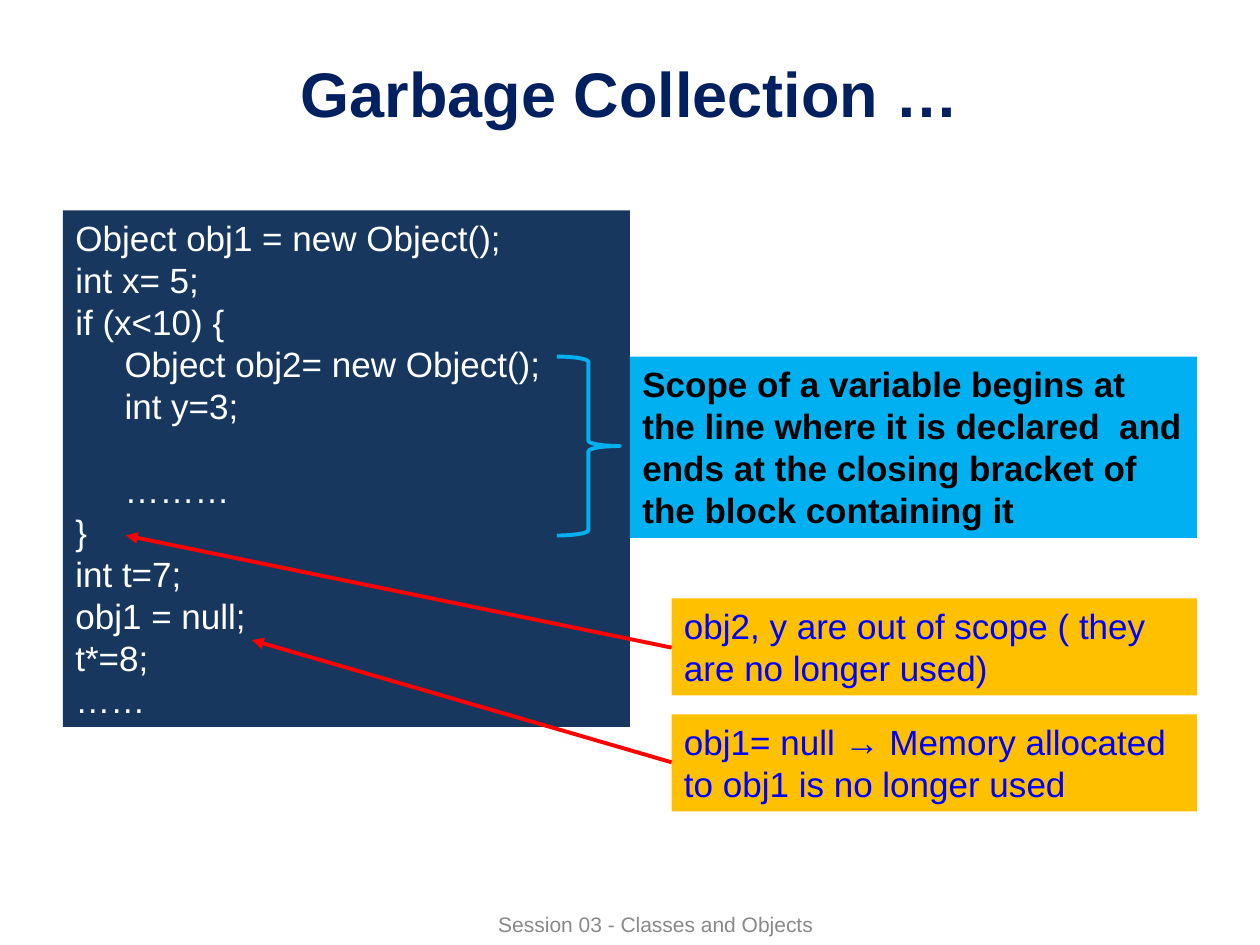
from lxml import etree
from pptx import Presentation
from pptx.dml.color import RGBColor
from pptx.enum.shapes import MSO_CONNECTOR, MSO_SHAPE
from pptx.enum.text import MSO_ANCHOR, PP_ALIGN
from pptx.oxml.ns import qn
from pptx.util import Inches, Pt

RECT = MSO_SHAPE.RECTANGLE
BRACE = MSO_SHAPE.RIGHT_BRACE
LINE = MSO_CONNECTOR.STRAIGHT
TOP, MIDDLE = MSO_ANCHOR.TOP, MSO_ANCHOR.MIDDLE
LEFT, CENTER = PP_ALIGN.LEFT, PP_ALIGN.CENTER

COLORS = {
    "title": "002060",
    "footer": "898989",
    "code": "17375E",
    "white": "FFFFFF",
    "scope": "00B0F0",
    "black": "000000",
    "note": "FFC000",
    "blue": "0000FF",
    "arrow": "FF0000",
}
INDENT = 0.39
GAP = 24

# Each line of code: text, indent level, points of space before it
CODE = [
    ("Object obj1 = new Object();", 0, 0),
    ("int x= 5;", 0, 0),
    ("if (x<10) {", 0, 0),
    ("Object obj2= new Object();", 1, 0),
    ("int y=3;", 1, 0),
    ("………", 1, GAP),
    ("}", 0, 0),
    ("int t=7;", 0, 0),
    ("obj1 = null;", 0, 0),
    ("t*=8;", 0, 0),
    ("……", 0, 0),
]
SCOPE = ("Scope of a variable begins at the line where it is declared  and "
         "ends at the closing bracket of the block containing it")

# Each note: text, top of its box, start and tip of its arrow
NOTES = [
    ("obj2, y are out of scope ( they are no longer used)",
     4.75, (5.33, 5.14), (1, 4.25)),
    ("obj1= null → Memory allocated to obj1 is no longer used",
     5.67, (5.33, 6.05), (2, 5.08)),
]


class Painter:
    """Holds the text style and the slide being drawn."""

    def __init__(self, slide, font="Arial", size=20, width=2.25, pitch=24):
        self.slide = slide
        self.font = font
        self.size = size
        self.width = width
        self.pitch = pitch

    def color(self, name):
        return RGBColor.from_string(COLORS[name])

    def text(self, shape, lines, color, size=None, bold=False,
             align=LEFT, anchor=TOP):
        """Fill a shape with (text, level, space before) lines."""
        frame = shape.text_frame
        frame.word_wrap = True
        frame.vertical_anchor = anchor
        for i, (words, level, gap) in enumerate(lines):
            para = frame.add_paragraph() if i else frame.paragraphs[0]
            para.alignment = align
            para.space_before = Pt(gap)
            if size is None:
                para.line_spacing = Pt(self.pitch)
            if level:
                props = para._p.get_or_add_pPr()
                props.set("marL", str(Inches(INDENT * level)))
                props.set("indent", "0")
            run = para.add_run()
            run.text = words
            run.font.name = self.font
            run.font.size = Pt(size or self.size)
            run.font.bold = bold
            run.font.color.rgb = self.color(color)

    def label(self, box, words, color, size, bold=False):
        shape = self.slide.shapes.add_textbox(*map(Inches, box))
        self.text(shape, [(words, 0, 0)], color, size, bold, CENTER, MIDDLE)

    def panel(self, box, lines, fill, color, bold=False):
        shape = self.slide.shapes.add_shape(RECT, *map(Inches, box))
        shape.shadow.inherit = False
        shape.fill.solid()
        shape.fill.fore_color.rgb = self.color(fill)
        shape.line.fill.background()
        self.text(shape, lines, color, bold=bold)

    def brace(self, box, color):
        shape = self.slide.shapes.add_shape(BRACE, *map(Inches, box))
        shape.shadow.inherit = False
        shape.fill.background()
        shape.line.color.rgb = self.color(color)
        shape.line.width = Pt(self.width)

    def arrow(self, start, tip, color):
        line = self.slide.shapes.add_connector(
            LINE, *map(Inches, (*start, *tip)))
        line.line.color.rgb = self.color(color)
        line.line.width = Pt(self.width)
        stroke = line.line._get_or_add_ln()
        etree.SubElement(stroke, qn("a:tailEnd"), type="triangle")
        etree.SubElement(line._element.spPr, qn("a:effectLst"))


def main():
    deck = Presentation()
    deck.slide_width, deck.slide_height = Inches(10), Inches(7.5)
    art = Painter(deck.slides.add_slide(deck.slide_layouts[6]))

    art.label((0.5, 0.3, 9, 0.87), "Garbage Collection …", "title", 36, True)
    art.label((2.83, 7.17, 4.75, 0.33),
              "Session 03 - Classes and Objects", "footer", 12)
    art.panel((0.5, 1.67, 4.5, 4.1), CODE, "code", "white")
    art.panel((5, 2.83, 4.5, 1.44), [(SCOPE, 0, 0)], "scope", "black", True)
    for words, top, start, tip in NOTES:
        art.panel((5.33, top, 4.17, 0.77), [(words, 0, 0)], "note", "blue")
        art.arrow(start, tip, "arrow")
    art.brace((4.42, 2.83, 0.5, 1.42), "scope")

    deck.save("out.pptx")


if __name__ == "__main__":
    main()
